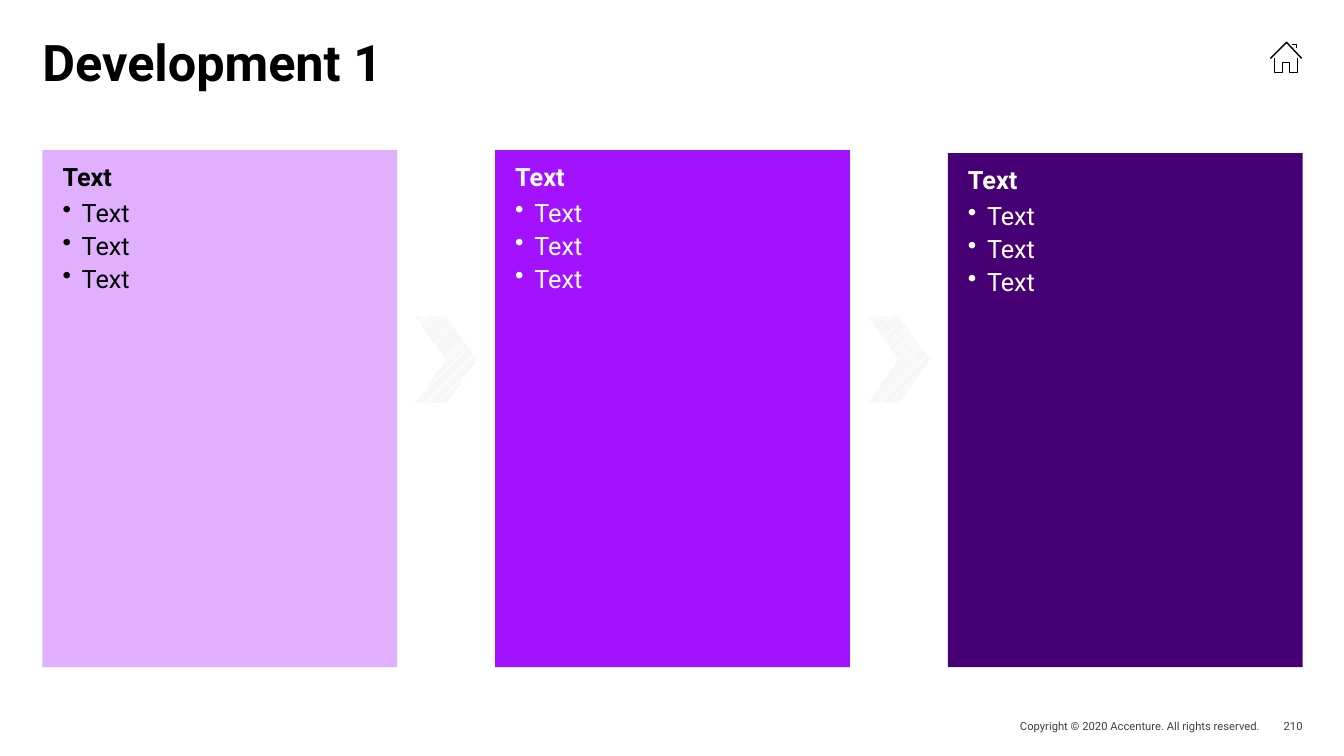
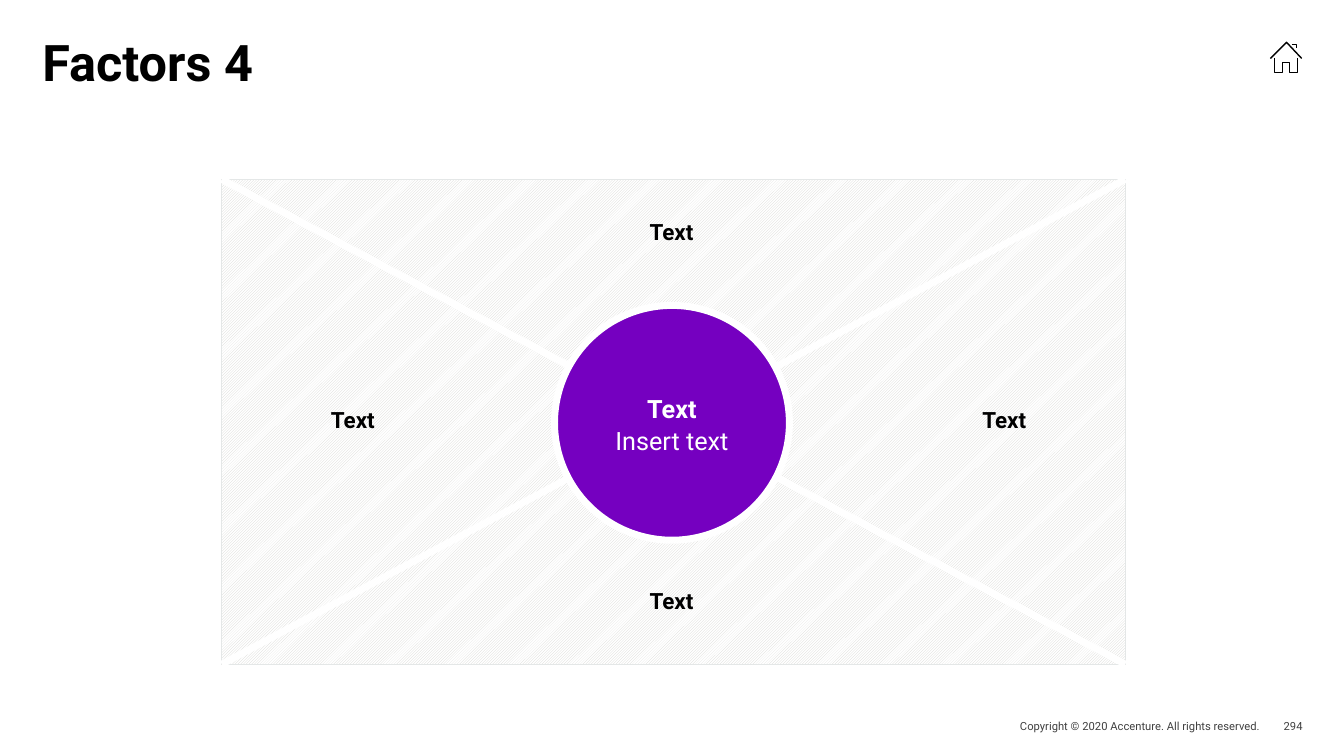
from lxml.etree import SubElement
from pptx import Presentation
from pptx.dml.color import RGBColor
from pptx.enum.dml import MSO_PATTERN
from pptx.enum.shapes import MSO_CONNECTOR, MSO_SHAPE
from pptx.enum.text import MSO_ANCHOR, MSO_AUTO_SIZE, PP_ALIGN
from pptx.oxml.ns import qn
from pptx.util import Inches, Pt

# Shared look
FONT = "Roboto"
WIDE, HIGH = 13.33, 7.5
EDGE, RIGHT = 0.42, 12.92
COLOR = {
    "black": "000000", "white": "FFFFFF", "gray": "404040",
    "stripe": "D5D5D1", "frame": "E4E7E7", "lilac": "E0B0FF",
    "violet": "A212FF", "plum": "460073", "purple": "7500C0",
}
FOOTER = "Copyright © 2020 Accenture. All rights reserved."

# House icon strokes, in hundredths of an inch
HOUSE = [
    [(1260.5, 57.5), (1276, 42.5), (1291, 57.5)],
    [(1281, 43.5), (1285.5, 43.5), (1285.5, 48.5)],
    [(1264.5, 58.5), (1264.5, 71.5), (1272.5, 71.5), (1272.5, 62),
     (1279, 62), (1279, 71.5), (1287, 71.5), (1287, 58.5)],
]

# Slide content
STEPS = {
    "title": "Development 1", "page": "210", "head": "Text",
    "points": ["Text", "Text", "Text"],
    "panels": [("lilac", "black", 1.49), ("violet", "white", 1.49),
               ("plum", "white", 1.52)],
}
FACTORS = {
    "title": "Factors 4", "page": "294",
    "hub": ["Text", "Insert text"],
    # text, centre x, centre y, width
    "labels": [("Text", 6.66, 2.32, 5.11), ("Text", 3.5, 4.18, 2.04),
               ("Text", 9.96, 4.18, 2.28), ("Text", 6.66, 5.98, 4.16)],
}


def rgb(name):
    return RGBColor.from_string(COLOR[name])


def inch(*nums):
    return [Inches(num) for num in nums]


def style(para, size, color, bold=False, align=PP_ALIGN.LEFT,
          line=1.0, before=0, after=0):
    para.alignment, para.line_spacing = align, line
    para.space_before, para.space_after = Pt(before), Pt(after)
    for run in para.runs:
        font = run.font
        font.name, font.size, font.bold = FONT, Pt(size), bold
        font.color.rgb = rgb(color)


def frame(shape, text, pads=(0, 0, 0, 0), anchor=MSO_ANCHOR.TOP):
    body = shape.text_frame
    body.text = text
    body.word_wrap, body.auto_size = True, MSO_AUTO_SIZE.NONE
    body.vertical_anchor = anchor
    (body.margin_left, body.margin_top,
     body.margin_right, body.margin_bottom) = inch(*pads)
    return body.paragraphs


def label(slide, text, box, size, color, pad=0, **look):
    item = slide.shapes.add_textbox(*inch(*box))
    para = frame(item, text, (pad,) * 4, MSO_ANCHOR.MIDDLE)[0]
    style(para, size, color, **look)


def outline(shape, color=None, width=0):
    if color:
        shape.line.color.rgb, shape.line.width = rgb(color), Pt(width)
    else:
        shape.line.fill.background()


def block(shapes, kind, box, fill):
    item = shapes.add_shape(kind, *inch(*box))
    item.shadow.inherit = False
    if fill == "stripe":
        item.fill.patterned()
        item.fill.pattern = MSO_PATTERN.DARK_UPWARD_DIAGONAL
        item.fill.fore_color.rgb = rgb("stripe")
        item.fill.back_color.rgb = rgb("white")
    else:
        item.fill.solid()
        item.fill.fore_color.rgb = rgb(fill)
    outline(item)
    return item


def bullet(para):
    props = para._p.get_or_add_pPr()
    props.set("marL", str(Inches(0.19)))
    props.set("indent", str(-Inches(0.19)))
    SubElement(props, qn("a:buChar")).set("char", "•")


def house(slide):
    first = HOUSE[0][0]
    pen = slide.shapes.build_freeform(*first, scale=Inches(0.01))
    for stroke in HOUSE:
        if stroke[0] != first:
            pen.move_to(*stroke[0])
        pen.add_line_segments(stroke[1:], close=False)
    icon = pen.convert_to_shape()
    icon.shadow.inherit = False
    icon.fill.background()
    outline(icon, "black", 1)


def start(deck, data):
    """Add a slide with title, icon and footer."""
    slide = deck.slides.add_slide(deck.slide_layouts[5])
    title = slide.shapes.title
    title.left, title.top, title.width, title.height = inch(
        EDGE, EDGE, RIGHT - EDGE, 1.08)
    style(frame(title, data["title"])[0], 36, "black", True, line=0.8)
    house(slide)
    for text, left, width in ((FOOTER, 9.1, 3.4), (data["page"], 12.5, 0.42)):
        label(slide, text, (left, 7.09, width, 0.22), 8, "gray",
              align=PP_ALIGN.RIGHT)
    return slide


def steps(deck, data):
    slide = start(deck, data)
    width, base = 3.52, 6.62
    pitch = (RIGHT - EDGE - width) / (len(data["panels"]) - 1)
    for col, (fill, ink, top) in enumerate(data["panels"]):
        left = EDGE + col * pitch
        panel = block(slide.shapes, MSO_SHAPE.RECTANGLE,
                      (left, top, width, base - top), fill)
        head, *points = frame(panel, "\n".join([data["head"], *data["points"]]),
                              (0.2, 0.16, 0.08, 0.08))
        style(head, 18, ink, True, line=0.85, after=3)
        for point in points:
            bullet(point)
            style(point, 18, ink, before=1, after=1)
        # Chevron centred in the gap before each later panel
        if col:
            mid = left - (pitch - width) / 2
            block(slide.shapes, MSO_SHAPE.CHEVRON,
                  (mid - 0.31, 3.14, 0.62, 0.86), "stripe")


def factors(deck, data):
    slide = start(deck, data)
    left, top, width, height = 2.2, 1.78, 8.96, 4.81
    # Striped field cut by its diagonals
    field = slide.shapes.add_group_shape().shapes
    outline(block(field, MSO_SHAPE.RECTANGLE, (left, top, width, height),
                  "stripe"), "frame", 0.5)
    for x1, x2 in ((left, left + width), (left + width, left)):
        cut = field.add_connector(MSO_CONNECTOR.STRAIGHT,
                                  *inch(x1, top, x2, top + height))
        SubElement(cut._element.spPr, qn("a:effectLst"))
        outline(cut, "white", 5)
    for text, x, y, wide in data["labels"]:
        label(slide, text, (x - wide / 2, y - 0.2, wide, 0.4), 16, "black",
              pad=0.08, bold=True, align=PP_ALIGN.CENTER, line=0.85, after=3)
    # Hub
    size = 2.33
    hub = block(slide.shapes, MSO_SHAPE.OVAL,
                ((WIDE - size) / 2, 3.03, size, size), "purple")
    outline(hub, "white", 5)
    head, note = frame(hub, "\n".join(data["hub"]), (0.2, 0.16, 0.2, 0.08),
                       MSO_ANCHOR.MIDDLE)
    style(head, 18, "white", True, PP_ALIGN.CENTER, 0.85, after=3)
    style(note, 18, "white", False, PP_ALIGN.CENTER, 0.85, 1, 1)


def main():
    deck = Presentation()
    deck.slide_width, deck.slide_height = inch(WIDE, HIGH)
    steps(deck, STEPS)
    factors(deck, FACTORS)
    deck.save("out.pptx")


if __name__ == "__main__":
    main()
